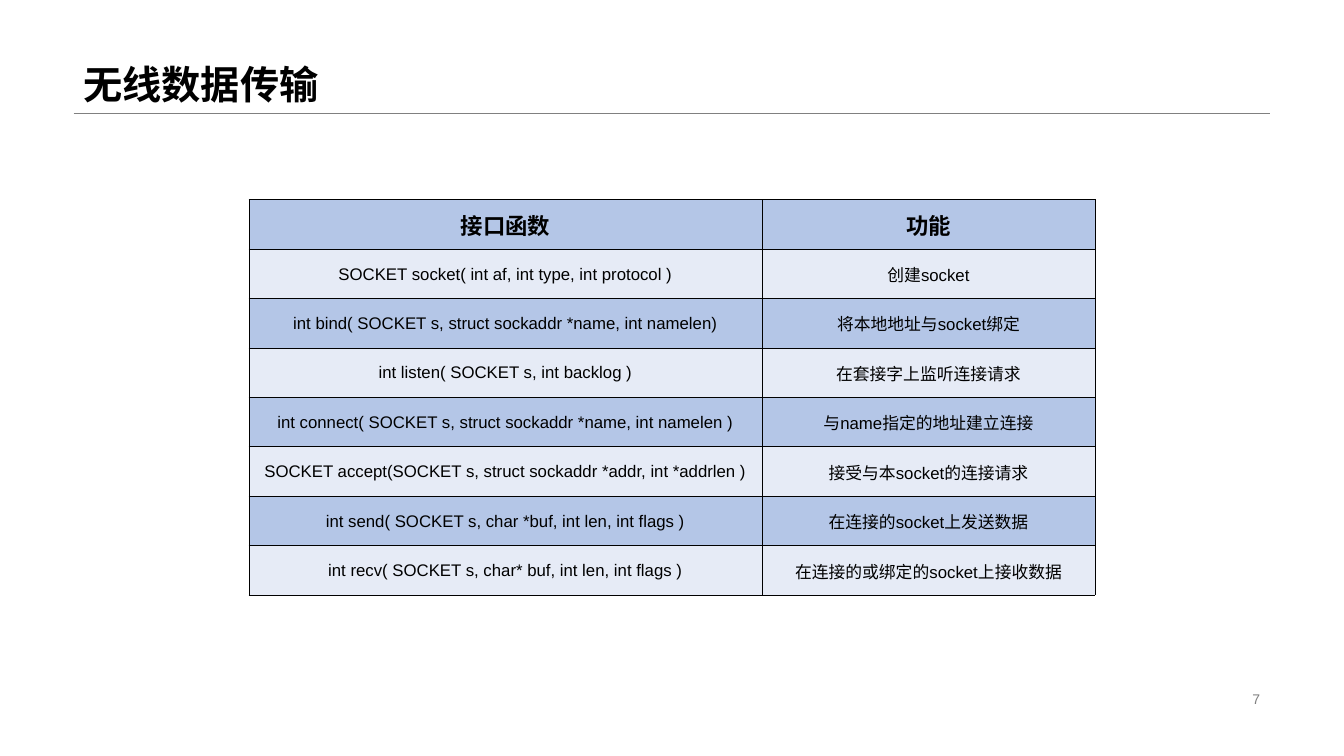
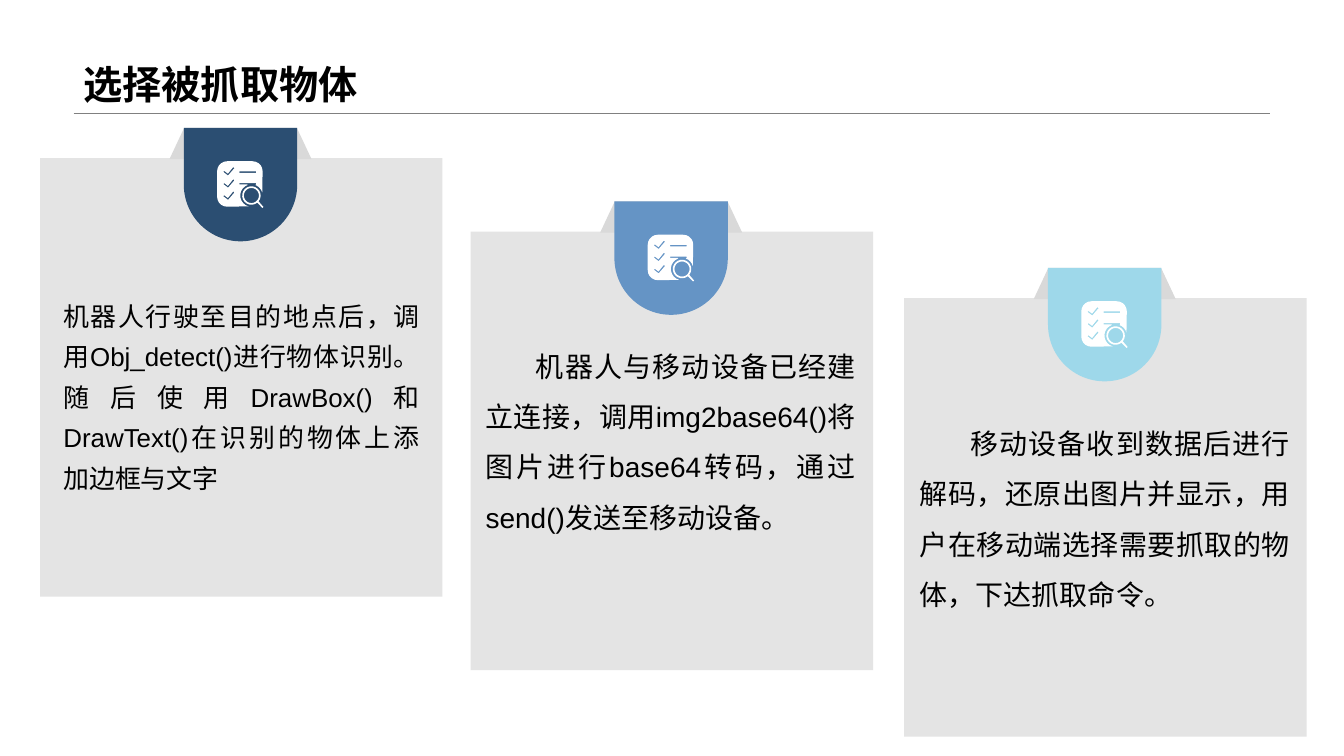
import math
from collections import namedtuple
from dataclasses import dataclass

from lxml import etree
from pptx import Presentation, util as u
from pptx.dml import color
from pptx.enum import lang, shapes as kinds, text as words
from pptx.oxml import ns

Pt = u.Pt
Box = namedtuple("Box", "left top width height")
Card = namedtuple("Card", "left top tint text_box size spacing indent body")


@dataclass(frozen=True)
class Theme:
    latin: str = "Arial"
    cjk: str = "Noto Sans CJK SC"
    ink: str = "000000"
    muted: str = "808080"
    white: str = "FFFFFF"
    paper: str = "D9D9D9"
    paper_alpha: int = 70
    band_dark: str = "B4C6E7"
    band_light: str = "E6EBF6"
    navy: str = "2B4E72"
    blue: str = "6594C5"
    sky: str = "9ED8EA"
    title_size: float = 28
    header_size: float = 16
    cell_size: float = 12
    number_size: float = 10
    body_size: float = 20
    compact_size: float = 18.5


THEME = Theme()
TITLE_BOX = Box(52.6, 0, 854.6, 80.6)
NUMBER_BOX = Box(678.2, 491, 229, 16.6)
TABLE_BOX = Box(177.8, 142.6, 604.4, 282.4)
NAME_WIDTH = 366.5
PANEL_SIZE = (287.5, 313.2)

FUNCTIONS = [
    ("接口函数", "功能"),
    ("SOCKET socket( int af, int type, int protocol )", "创建socket"),
    ("int bind( SOCKET s, struct sockaddr *name, int namelen)", "将本地地址与socket绑定"),
    ("int listen( SOCKET s, int backlog )", "在套接字上监听连接请求"),
    ("int connect( SOCKET s, struct sockaddr *name, int namelen )", "与name指定的地址建立连接"),
    ("SOCKET accept(SOCKET s, struct sockaddr *addr, int *addrlen )", "接受与本socket的连接请求"),
    ("int send( SOCKET s, char *buf, int len, int flags )", "在连接的socket上发送数据"),
    ("int recv( SOCKET s, char* buf, int len, int flags )", "在连接的或绑定的socket上接收数据"),
]

CARDS = [
    Card(336.2, 165.5, THEME.blue, Box(3.6, 62.9, 278.6, 162), THEME.body_size, 1.5, 36,
         "机器人与移动设备已经建立连接，调用img2base64()将图片进行base64转码，"
         "通过send()发送至移动设备。"),
    Card(645.9, 213, THEME.sky, Box(4, 70.5, 278.6, 162), THEME.body_size, 1.5, 36,
         "移动设备收到数据后进行解码，还原出图片并显示，"
         "用户在移动端选择需要抓取的物体，下达抓取命令。"),
    Card(28.6, 113, THEME.navy, Box(9.6, 88.3, 268.6, 157.7), THEME.compact_size, 1.3, 0,
         "机器人行驶至目的地点后，调用Obj_detect()进行物体识别。"
         "随后使用DrawBox()和DrawText()在识别的物体上添加边框与文字"),
]


def rgb(value):
    return color.RGBColor.from_string(value)


def points(values):
    return [Pt(value) for value in values]


def add_span(para, content, size, tint=THEME.ink, bold=False, face=THEME.latin):
    span = para.add_run()
    span.text = content
    font = span.font
    font.size, font.bold, font.name = Pt(size), bold, face
    font.color.rgb = rgb(tint)
    font.language_id = lang.MSO_LANGUAGE_ID.SIMPLIFIED_CHINESE
    east_asian = etree.SubElement(span._r.get_or_add_rPr(), ns.qn("a:ea"))
    east_asian.set("typeface", THEME.cjk)


def add_text(page, box, content, size, anchor, align=None, spacing=None, indent=0, **style):
    frame = page.shapes.add_textbox(*points(box)).text_frame
    frame.word_wrap = True
    frame.vertical_anchor = anchor
    para = frame.paragraphs[0]
    para.alignment, para.line_spacing = align, spacing
    if indent:
        para._p.get_or_add_pPr().set("indent", str(Pt(indent)))
    add_span(para, content, size, **style)


def paint(item, fill):
    item.shadow.inherit = False
    item.fill.solid()
    item.fill.fore_color.rgb = rgb(fill)
    item.line.fill.background()


def add_block(page, kind, box, fill, adjustments=(), alpha=None):
    block = page.shapes.add_shape(kind, *points(box))
    for index, value in enumerate(adjustments):
        block.adjustments[index] = value
    paint(block, fill)
    if alpha is not None:
        tone = block._element.spPr.find(ns.qn("a:solidFill"))[0]
        etree.SubElement(tone, ns.qn("a:alpha")).set("val", str(alpha * 1000))


def add_page(deck, title):
    page = deck.slides.add_slide(deck.slide_layouts[6])
    box = TITLE_BOX
    bottom = box.top + box.height
    ends = points((box.left, bottom, box.left + box.width, bottom))
    rule = page.shapes.add_connector(kinds.MSO_CONNECTOR.STRAIGHT, *ends)
    rule.line.color.rgb = rgb(THEME.muted)
    rule.line.width = Pt(0.25)
    etree.SubElement(rule._element.spPr, ns.qn("a:effectLst"))
    add_text(page, box, title, THEME.title_size, words.MSO_ANCHOR.BOTTOM,
             spacing=0.9, bold=True)
    return page


def add_borders(cell):
    properties = cell._tc.get_or_add_tcPr()
    for side in ("lnL", "lnR", "lnT", "lnB"):
        edge = etree.SubElement(properties, ns.qn(f"a:{side}"), w=str(Pt(0.5)))
        fill = etree.SubElement(edge, ns.qn("a:solidFill"))
        etree.SubElement(fill, ns.qn("a:srgbClr"), val=THEME.ink)


def add_function_table(page, box, rows):
    table = page.shapes.add_table(len(rows), 2, *points(box)).table
    table.first_row = table.horz_banding = False
    for column, width in zip(table.columns, (NAME_WIDTH, box.width - NAME_WIDTH)):
        column.width = Pt(width)
    for index, row in enumerate(rows):
        table.rows[index].height = Pt(box.height / len(rows))
        style = dict(size=THEME.cell_size)
        if index == 0:
            style = dict(size=THEME.header_size, bold=True, face=THEME.cjk)
        for column, content in enumerate(row):
            cell = table.cell(index, column)
            cell.margin_left = cell.margin_right = cell.margin_top = Pt(0.7)
            cell.margin_bottom = 0
            cell.vertical_anchor = words.MSO_ANCHOR.MIDDLE
            add_borders(cell)
            cell.fill.solid()
            cell.fill.fore_color.rgb = rgb(THEME.band_light if index % 2 else THEME.band_dark)
            para = cell.text_frame.paragraphs[0]
            para.alignment = words.PP_ALIGN.CENTER
            add_span(para, content, **style)


def arc(x, y, radius, start, end, steps):
    angles = [math.radians(start + (end - start) * step / steps) for step in range(steps + 1)]
    return [(x + radius * math.cos(angle), y + radius * math.sin(angle)) for angle in angles]


def checklist_outlines():
    side, corner, lens = 32.5, 7.2, 24.5
    far = side - corner
    sheet = (arc(corner, corner, corner, 180, 270, 5)
             + arc(far, corner, corner, 270, 360, 5)
             + arc(lens, lens, 8, -15, -70, 4)
             + [(27.8, 16.6), (27.8, 15.7), (16, 15.7), (16, 16.6), (21.6, 16.6)]
             + arc(lens, lens, 8, -110, -255, 9)
             + arc(corner, far, corner, 90, 180, 5))
    line = [(16, 7.3), (27.8, 7.3), (27.8, 8.4), (16, 8.4)]
    tick = [(11.5, 4.2), (12.4, 4.9), (7.8, 10.2), (4.4, 7.6), (5.1, 6.9), (7.7, 8.9)]
    ticks = [[(x, y + row * 8.7) for x, y in tick] for row in range(3)]
    glass = arc(lens, lens, 6.6, 51, 399, 20) + [(33.1, 32.7), (32.4, 33.4)]
    hole = arc(lens, lens, 5.4, 0, 342, 19)
    return [sheet, line, *ticks, glass, hole]


def add_checklist_icon(page, left, top):
    outlines = [[points((left + x, top + y)) for x, y in outline]
                for outline in checklist_outlines()]
    builder = page.shapes.build_freeform(*outlines[0][0], scale=1.0)
    for index, outline in enumerate(outlines):
        if index:
            builder.move_to(*outline[0])
        builder.add_line_segments(outline[1:], close=True)
    paint(builder.convert_to_shape(), THEME.white)


def add_card(page, card):
    width, height = PANEL_SIZE
    center = card.left + 143.2
    lift, fold, badge, inset = 21.6, 101.5, 81, 23.8
    top = card.top - lift
    add_block(page, kinds.MSO_SHAPE.TRAPEZOID,
              Box(center - fold / 2, top, fold, 22.3), THEME.paper, [0.47])
    add_block(page, kinds.MSO_SHAPE.RECTANGLE, Box(card.left, card.top, width, height),
              THEME.paper, alpha=THEME.paper_alpha)
    add_block(page, kinds.MSO_SHAPE.ROUND_2_SAME_RECTANGLE,
              Box(center - badge / 2, top, badge, badge), card.tint, [0, 0.5])
    add_checklist_icon(page, center - badge / 2 + inset, top + inset)
    area = card.text_box
    add_text(page, Box(card.left + area.left, card.top + area.top, area.width, area.height),
             card.body, card.size, words.MSO_ANCHOR.MIDDLE, words.PP_ALIGN.JUSTIFY,
             card.spacing, card.indent)


def add_transfer_page(deck):
    page = add_page(deck, "无线数据传输")
    add_text(page, NUMBER_BOX, "7", THEME.number_size, words.MSO_ANCHOR.MIDDLE,
             words.PP_ALIGN.RIGHT, tint=THEME.muted)
    add_function_table(page, TABLE_BOX, FUNCTIONS)


def add_selection_page(deck):
    page = add_page(deck, "选择被抓取物体")
    for card in CARDS:
        add_card(page, card)


deck = Presentation()
deck.slide_width, deck.slide_height = Pt(960), Pt(540)
add_transfer_page(deck)
add_selection_page(deck)
deck.save("out.pptx")
